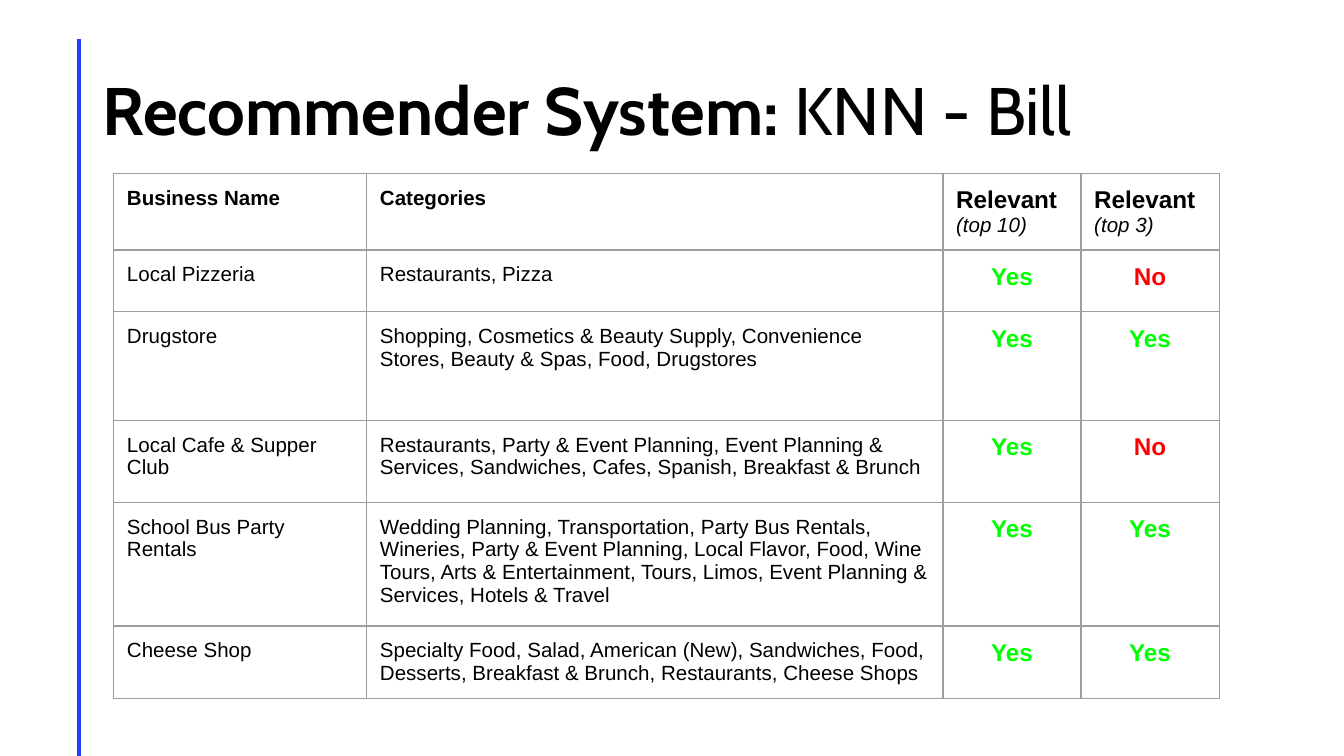
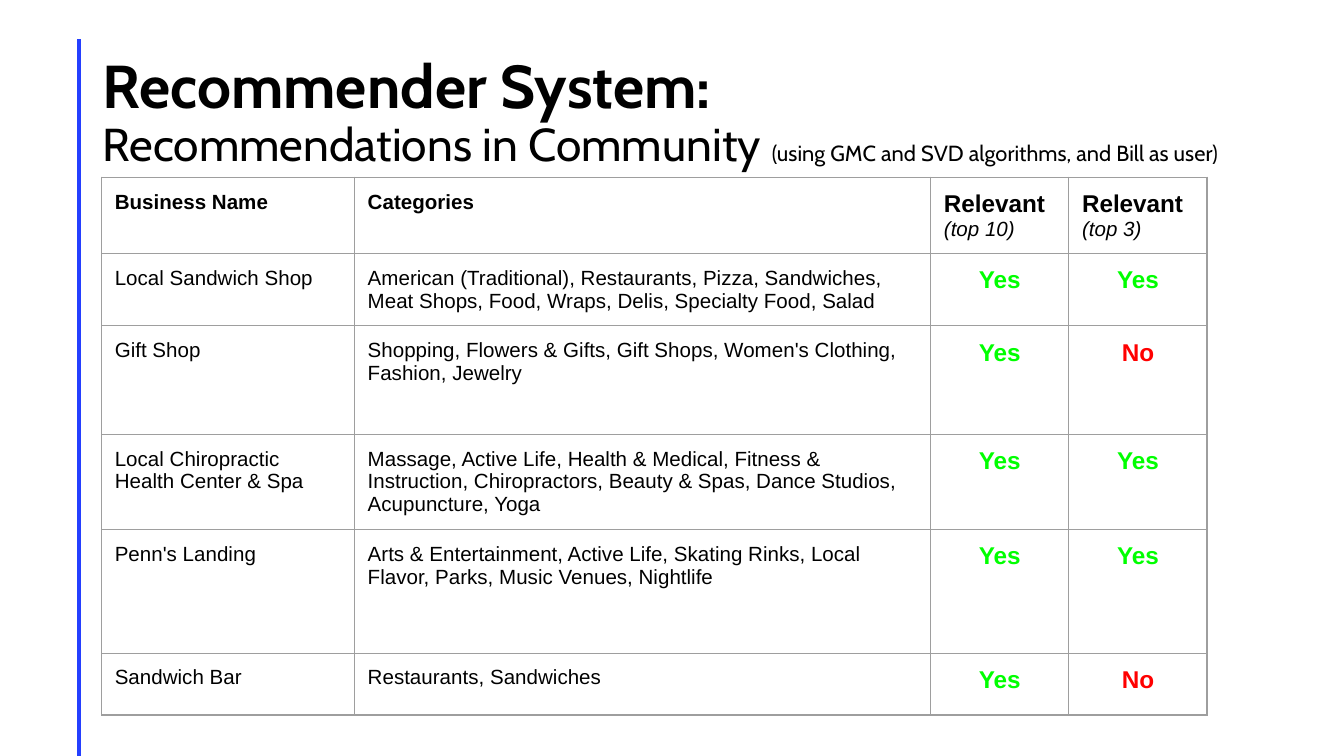
from dataclasses import dataclass

from lxml.etree import SubElement
from pptx import Presentation
from pptx.dml.color import RGBColor
from pptx.enum.shapes import MSO_CONNECTOR
from pptx.enum.text import MSO_ANCHOR, MSO_AUTO_SIZE, PP_ALIGN
from pptx.oxml import parse_xml
from pptx.oxml.ns import nsdecls, qn
from pptx.util import Cm, Pt


@dataclass(frozen=True)
class Theme:
    title_font: str = "Cabin"
    table_font: str = "Arial"
    ink: str = "000000"
    rule: str = "243FFF"
    border: str = "9E9E9E"
    yes: str = "00FF00"
    no: str = "FF0000"
    title_size: float = 36
    heading_size: float = 32.4
    subtitle_size: float = 24.7
    note_size: float = 11.7
    cell_size: float = 11
    answer_size: float = 13


THEME = Theme()
TITLE_BOX = (1.76, 0.76, 21.9, 2.77)
COLUMN_WIDTHS = (4.78, 10.89, 2.61, 2.61)
ROW_HEIGHTS = (0.86, 1.17, 2.05, 1.55, 2.34, 1.17)
CELL_INSET = 0.25

KNN_ROWS = [
    ("Local Pizzeria", "Restaurants, Pizza", "Yes", "No"),
    ("Drugstore", "Shopping, Cosmetics & Beauty Supply, Convenience Stores, "
     "Beauty & Spas, Food, Drugstores", "Yes", "Yes"),
    ("Local Cafe & Supper Club", "Restaurants, Party & Event Planning, "
     "Event Planning & Services, Sandwiches, Cafes, Spanish, "
     "Breakfast & Brunch", "Yes", "No"),
    ("School Bus Party Rentals", "Wedding Planning, Transportation, "
     "Party Bus Rentals, Wineries, Party & Event Planning, Local Flavor, "
     "Food, Wine Tours, Arts & Entertainment, Tours, Limos, "
     "Event Planning & Services, Hotels & Travel", "Yes", "Yes"),
    ("Cheese Shop", "Specialty Food, Salad, American (New), Sandwiches, "
     "Food, Desserts, Breakfast & Brunch, Restaurants, Cheese Shops",
     "Yes", "Yes"),
]
COMMUNITY_ROWS = [
    ("Local Sandwich Shop", "American (Traditional), Restaurants, Pizza, "
     "Sandwiches, Meat Shops, Food, Wraps, Delis, Specialty Food, Salad",
     "Yes", "Yes"),
    ("Gift Shop", "Shopping, Flowers & Gifts, Gift Shops, "
     "Women's Clothing, Fashion, Jewelry", "Yes", "No"),
    ("Local Chiropractic Health Center & Spa", "Massage, Active Life, "
     "Health & Medical, Fitness & Instruction, Chiropractors, "
     "Beauty & Spas, Dance Studios, Acupuncture, Yoga", "Yes", "Yes"),
    ("Penn's Landing", "Arts & Entertainment, Active Life, Skating Rinks, "
     "Local Flavor, Parks, Music Venues, Nightlife", "Yes", "Yes"),
    ("Sandwich Bar", "Restaurants, Sandwiches", "Yes", "No"),
]


def write(para, text, *, font=THEME.table_font, size=THEME.cell_size,
          color=THEME.ink, bold=False, italic=False, align=PP_ALIGN.LEFT):
    """Add one formatted run to a paragraph."""
    para.alignment = align
    span = para.add_run()
    span.text = text
    span.font.name = font
    span.font.size = Pt(size)
    span.font.bold = bold
    span.font.italic = italic
    span.font.color.rgb = RGBColor.from_string(color)


def add_side_rule(deck, page, layout):
    """Draw the vertical rule and move it to the shared layout."""
    left = Cm(1.5)
    rule = page.shapes.add_connector(
        MSO_CONNECTOR.STRAIGHT, left, Cm(0.74), left, deck.slide_height)
    rule.line.color.rgb = RGBColor.from_string(THEME.rule)
    rule.line.width = Pt(2)
    SubElement(rule.element.spPr, qn("a:effectLst"))
    layout.shapes.element.append(rule.element)


def fill_title(page, lines, box):
    """Each line is a list of (text, size, bold) runs."""
    title = page.shapes.title
    title.left, title.top, title.width, title.height = map(Cm, box)
    frame = title.text_frame
    frame.word_wrap = True
    frame.auto_size = MSO_AUTO_SIZE.NONE
    frame.vertical_anchor = MSO_ANCHOR.MIDDLE
    frame.margin_left = frame.margin_right = Cm(0.18)
    frame.margin_top = frame.margin_bottom = Cm(0.1)
    for index, line in enumerate(lines):
        para = frame.add_paragraph() if index else frame.paragraphs[0]
        para.line_spacing = 0.9
        for text, size, bold in line:
            write(para, text, font=THEME.title_font, size=size, bold=bold)


def format_cell(cell):
    cell.margin_left = cell.margin_right = Cm(CELL_INSET)
    cell.margin_top = cell.margin_bottom = Cm(CELL_INSET)
    cell.fill.background()
    properties = cell._tc.get_or_add_tcPr()
    for index, side in enumerate(("lnL", "lnR", "lnT", "lnB")):
        properties.insert(index, parse_xml(
            f'<a:{side} {nsdecls("a")} w="{Pt(0.75)}"><a:solidFill>'
            f'<a:srgbClr val="{THEME.border}"/></a:solidFill></a:{side}>'))


def fill_header(cells, split_first):
    for cell, text in zip(cells, ("Business Name", "Categories")):
        write(cell.text_frame.paragraphs[0], text, bold=True)
    for index, (cell, scope) in enumerate(zip(cells[2:], ("(top 10)", "(top 3)"))):
        split = split_first and index == 0
        para = cell.text_frame.paragraphs[0]
        write(para, "Relevant" if split else "Relevant ",
              size=THEME.answer_size, bold=True)
        if split:
            para = cell.text_frame.add_paragraph()
        write(para, scope, italic=True)


def add_business_table(page, rows, left, top, split_first=False):
    frame = page.shapes.add_table(
        len(ROW_HEIGHTS), len(COLUMN_WIDTHS), Cm(left), Cm(top),
        Cm(sum(COLUMN_WIDTHS)), Cm(sum(ROW_HEIGHTS)))
    table = frame.table
    table.first_row = table.horz_banding = False
    for column, width in zip(table.columns, COLUMN_WIDTHS):
        column.width = Cm(width)
    for row, height in zip(table.rows, ROW_HEIGHTS):
        row.height = Cm(height)
    for cell in table.iter_cells():
        format_cell(cell)

    fill_header(list(table.rows[0].cells), split_first)
    for row_index, values in enumerate(rows, start=1):
        for column_index, text in enumerate(values):
            para = table.cell(row_index, column_index).text_frame.paragraphs[0]
            if column_index < 2:
                write(para, text)
            else:
                write(para, text, size=THEME.answer_size, bold=True,
                      color=THEME.yes if text == "Yes" else THEME.no,
                      align=PP_ALIGN.CENTER)


def main():
    deck = Presentation()
    deck.slide_width, deck.slide_height = Cm(25.4), Cm(14.29)
    layout = deck.slide_layouts[5]

    # Recommendations from nearest neighbours
    page = deck.slides.add_slide(layout)
    add_side_rule(deck, page, layout)
    fill_title(page, [[("Recommender System: ", THEME.title_size, True),
                       ("KNN - Bill", THEME.title_size, False)]], TITLE_BOX)
    add_business_table(page, KNN_ROWS, 2.15, 3.28, split_first=True)

    # Recommendations within the community
    page = deck.slides.add_slide(layout)
    fill_title(page, [
        [("Recommender System:", THEME.heading_size, True)],
        [("Recommendations in Community ", THEME.subtitle_size, False),
         ("(using GMC and SVD algorithms, and Bill as user)",
          THEME.note_size, False)],
    ], TITLE_BOX)
    add_business_table(page, COMMUNITY_ROWS, 1.92, 3.35)

    deck.save("out.pptx")


if __name__ == "__main__":
    main()
